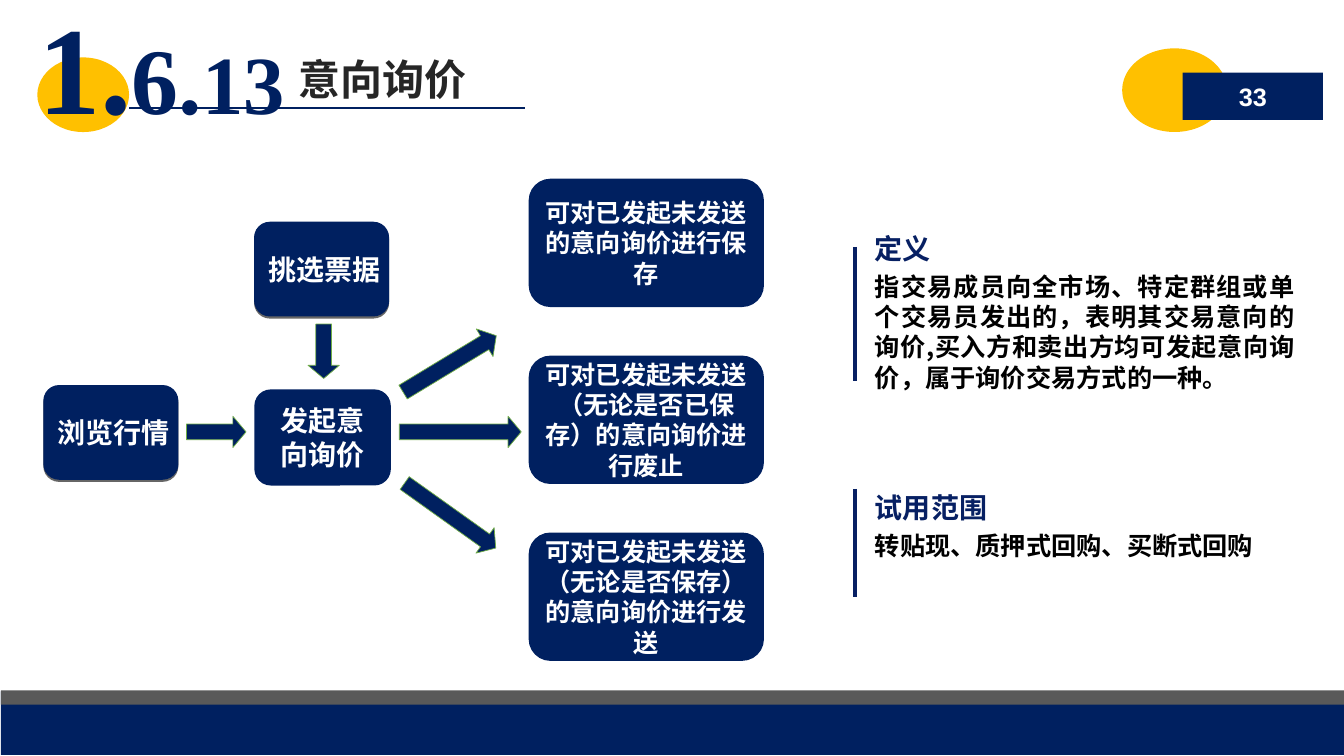
from lxml.etree import SubElement
from pptx import Presentation
from pptx.dml.color import RGBColor
from pptx.enum.shapes import MSO_CONNECTOR, MSO_SHAPE
from pptx.enum.text import MSO_ANCHOR, MSO_AUTO_SIZE, PP_ALIGN
from pptx.oxml.ns import qn
from pptx.util import Inches, Pt

COLORS = {
    "navy": "002060",
    "heading": "072063",
    "gray": "595959",
    "gold": "FFC000",
    "green": "70AD47",
    "title": "262626",
    "black": "000000",
    "white": "FFFFFF",
}
CJK = "Noto Sans CJK SC"


class SlideBuilder:
    """Draws styled elements on a slide whose grid cells are a tenth of an inch square."""

    cell = Inches(0.1)

    def __init__(self, slide):
        self.shapes = slide.shapes

    def grid(self, *lengths):
        return [round(length * self.cell) for length in lengths]

    def color(self, name):
        return RGBColor.from_string(COLORS[name])

    def shape(self, kind, box, fill="navy", line=None, weight=1.0, rotation=0):
        shape = self.shapes.add_shape(kind, *self.grid(*box))
        shape.shadow.inherit = False
        shape.fill.solid()
        shape.fill.fore_color.rgb = self.color(fill)
        if line:
            shape.line.color.rgb = self.color(line)
            shape.line.width = Pt(weight)
        else:
            shape.line.fill.background()
        shape.rotation = rotation
        return shape

    def line(self, start, end, color, weight):
        connector = self.shapes.add_connector(MSO_CONNECTOR.STRAIGHT, *self.grid(*start, *end))
        connector.line.color.rgb = self.color(color)
        connector.line.width = Pt(weight)
        SubElement(connector._element.spPr, qn("a:effectLst"))

    def add_runs(self, frame, runs, color, font=CJK, align=PP_ALIGN.LEFT):
        paragraph = frame.paragraphs[0]
        paragraph.alignment = align
        for text, size in runs:
            run = paragraph.add_run()
            run.text = text
            run.font.name = font
            run.font.size = Pt(size)
            run.font.bold = True
            run.font.color.rgb = self.color(color)
            SubElement(run._r.get_or_add_rPr(), qn("a:ea"), typeface=font)
        return paragraph

    def pad(self, frame):
        frame.margin_left = frame.margin_right = Inches(0.12)
        frame.margin_top = frame.margin_bottom = Inches(0.06)

    def text(self, box, runs, color, font=CJK, align=PP_ALIGN.LEFT, padded=False):
        frame = self.shapes.add_textbox(*self.grid(*box)).text_frame
        frame.word_wrap = True
        frame.auto_size = MSO_AUTO_SIZE.SHAPE_TO_FIT_TEXT
        if padded:
            self.pad(frame)
        self.add_runs(frame, runs, color, font, align)

    def page_number(self, box, number):
        frame = self.shape(MSO_SHAPE.RECTANGLE, box).text_frame
        frame.vertical_anchor = MSO_ANCHOR.MIDDLE
        self.pad(frame)
        self.add_runs(frame, [(number, 18)], "white", "Arial", PP_ALIGN.CENTER)

    def arrow(self, box, rotation=0):
        arrow = self.shape(MSO_SHAPE.RIGHT_ARROW, box, "navy", "green", 0.5, rotation)
        arrow.adjustments[1] = 0.42

    def step(self, box, text, size):
        step = self.shape(MSO_SHAPE.ROUNDED_RECTANGLE, box, line="navy")
        frame = step.text_frame
        frame.word_wrap = True
        frame.vertical_anchor = MSO_ANCHOR.MIDDLE
        self.add_runs(frame, [(text, size)], "white", align=PP_ALIGN.CENTER)

    def source_step(self, box, text):
        step = self.shape(MSO_SHAPE.ROUNDED_RECTANGLE, box)
        effects = step._element.spPr.find(qn("a:effectLst"))
        shadow = SubElement(effects, qn("a:outerShdw"), dist=str(Pt(1.5)), dir="5400000", rotWithShape="0")
        shade = SubElement(shadow, qn("a:srgbClr"), val=COLORS["black"])
        SubElement(shade, qn("a:alpha"), val="60000")
        frame = step.text_frame
        frame.word_wrap = False
        frame.vertical_anchor = MSO_ANCHOR.MIDDLE
        paragraph = self.add_runs(frame, [(text, 20)], "white")
        properties = paragraph._p.get_or_add_pPr()
        properties.set("marL", str(Inches(0.38)))
        properties.set("indent", str(-Inches(0.38)))

    def note(self, top, heading, body, body_height, bar, align=PP_ALIGN.LEFT):
        self.text((85.8, top + 3.9, 43.6, body_height), [(body, 18)], "black", align=align)
        self.text((85.8, top, 36.3, 4.4), [(heading, 20)], "heading")
        self.line((84.8, bar[0]), (84.8, bar[1]), "heading", 3)


def main():
    presentation = Presentation()
    presentation.slide_width = Inches(13.33)
    presentation.slide_height = Inches(7.5)
    builder = SlideBuilder(presentation.slides.add_slide(presentation.slide_layouts[6]))

    builder.shape(MSO_SHAPE.RECTANGLE, (0.1, 68.6, 133.2, 6.3))
    builder.shape(MSO_SHAPE.RECTANGLE, (0.1, 68.5, 133.2, 1.4), "gray")
    builder.shape(MSO_SHAPE.OVAL, (3.7, 5.7, 9.1, 7.4), "gold")
    builder.line((12.8, 10.7), (52.1, 10.7), "navy", 1.5)
    builder.text((28.6, 4.8, 74.3, 6.1), [("意向询价", 30)], "title")
    builder.shape(MSO_SHAPE.OVAL, (111.3, 4.8, 10.4, 8.3), "gold")
    builder.page_number((117.3, 7.2, 13.9, 4.7), "33")
    section_number = [("1.", 89), ("6.", 67), ("13", 59)]
    builder.text((2.6, -1.6, 27.9, 16.2), section_number, "navy", "Times New Roman", padded=True)

    for box, rotation in [
        ((39.6, 41.3, 12.1, 3.1), 0),
        ((18.5, 41.3, 5.9, 3.1), 0),
        ((29.4, 33.3, 5.4, 3.1), 90),
        ((39.2, 34.5, 10.8, 3.2), 328.8),
        ((39.1, 49.6, 11.1, 3.1), 35.5),
    ]:
        builder.arrow(box, rotation)

    builder.source_step((4.3, 38.2, 13.4, 9.4), "浏览行情")
    builder.source_step((25.2, 22, 13.4, 9.4), "挑选票据")
    builder.step((25.3, 38.7, 13.4, 9.4), "发起意向询价", 20)
    outcomes = [
        "可对已发起未发送的意向询价进行保存",
        "可对已发起未发送（无论是否已保存）的意向询价进行废止",
        "可对已发起未发送（无论是否保存）的意向询价进行发送",
    ]
    for index, outcome in enumerate(outcomes):
        builder.step((52.5, 17.8 + 17.55 * index, 23.2, 12.6), outcome, 18)

    definition = (
        "指交易成员向全市场、特定群组或单个交易员发出的，表明其交易意向的询价,"
        "买入方和卖出方均可发起意向询价，属于询价交易方式的一种。"
    )
    builder.note(22.5, "定义", definition, 13.1, (24.5, 37.8), PP_ALIGN.JUSTIFY)
    builder.note(48.2, "试用范围", "转贴现、质押式回购、买断式回购", 4, (48.5, 59.2))
    presentation.save("out.pptx")


if __name__ == "__main__":
    main()
